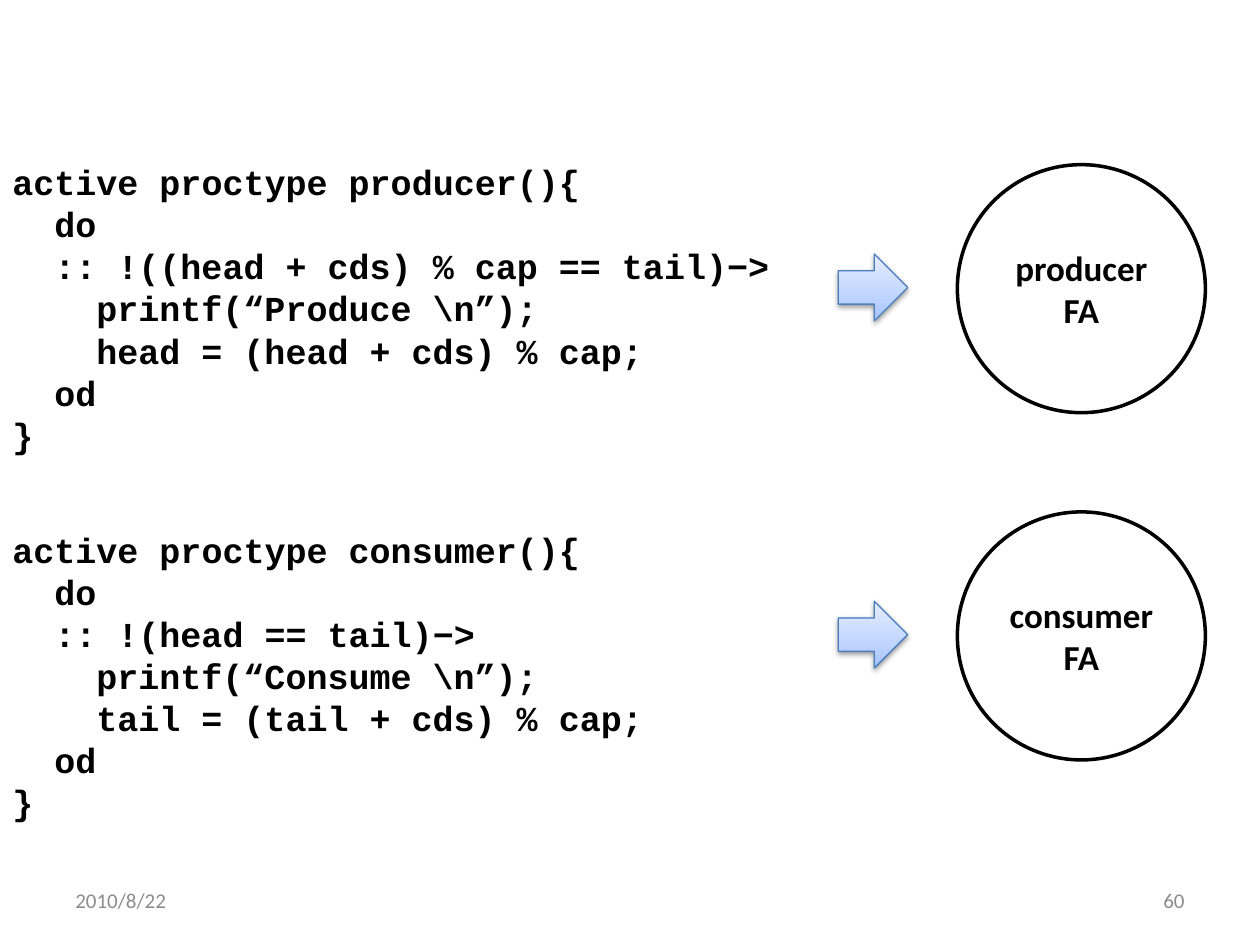
from lxml.etree import SubElement
from pptx import Presentation
from pptx.dml.color import RGBColor
from pptx.enum.shapes import MSO_SHAPE
from pptx.enum.text import MSO_ANCHOR, MSO_AUTO_SIZE, PP_ALIGN
from pptx.oxml.ns import qn
from pptx.util import Cm, Pt

BLACK = RGBColor(0x00, 0x00, 0x00)
GREY = RGBColor(0x8C, 0x8C, 0x8C)
ARROW_LINE = RGBColor(0x4B, 0x7E, 0xBC)
ARROW_STOPS = (
    (0, RGBColor(0xA4, 0xC4, 0xFF)),
    (35, RGBColor(0xBF, 0xD4, 0xFF)),
    (100, RGBColor(0xE6, 0xEE, 0xFF)),
)

PRODUCER = (
    (0, "active proctype producer(){"),
    (1, "do"),
    (1, ":: !((head + cds) % cap == tail)\u2212>"),
    (2, "printf(\u201cProduce \\n\u201d);"),
    (2, "head = (head + cds) % cap;"),
    (1, "od"),
    (0, "}"),
)
CONSUMER = (
    (0, "active proctype consumer(){"),
    (1, "do"),
    (1, ":: !(head == tail)\u2212>"),
    (2, "printf(\u201cConsume \\n\u201d);"),
    (2, "tail = (tail + cds) % cap;"),
    (1, "od"),
    (0, "}"),
)


def format_text(tf, font, size, color, bold=False, align=PP_ALIGN.LEFT):
    """Give all text in a frame one look."""
    for p in tf.paragraphs:
        p.alignment = align
        for r in p.runs:
            r.font.name = font
            r.font.size = Pt(size)
            r.font.bold = bold
            r.font.color.rgb = color


def add_code(s, left, top, width, lines):
    """Add a code listing indented by two characters per level."""
    sp = s.shapes.add_textbox(left, top, width, Cm(6.25))
    tf = sp.text_frame
    tf.text = "\n".join(text for level, text in lines)
    tf.word_wrap = False
    tf.auto_size = MSO_AUTO_SIZE.SHAPE_TO_FIT_TEXT
    format_text(tf, "Courier New", 20, BLACK, bold=True)
    for p, (level, text) in zip(tf.paragraphs, lines):
        pPr = p._p.get_or_add_pPr()
        pPr.set("marL", str(Pt(24 * level)))
        pPr.set("indent", "0")


def add_arrow(s, left, top):
    """Add a block arrow with a gradient and a soft shadow."""
    sp = s.shapes.add_shape(MSO_SHAPE.RIGHT_ARROW, left, top, Cm(1.4), Cm(1.35))
    sp.line.color.rgb = ARROW_LINE
    sp.line.width = Pt(0.75)
    sp.fill.gradient()
    grad = sp._element.spPr.find(qn("a:gradFill"))
    stops = grad.find(qn("a:gsLst"))
    for gs in list(stops):
        stops.remove(gs)
    for pos, color in ARROW_STOPS:
        gs = SubElement(stops, qn("a:gs"), pos=str(pos * 1000))
        SubElement(gs, qn("a:srgbClr"), val=str(color))
    grad.find(qn("a:lin")).set("ang", "16200000")
    sp.shadow.inherit = False
    effects = sp._element.spPr.find(qn("a:effectLst"))
    shadow = SubElement(effects, qn("a:outerShdw"), blurRad=str(Pt(3.1)),
                        dist=str(Pt(1.6)), dir="5400000", rotWithShape="0")
    clr = SubElement(shadow, qn("a:srgbClr"), val=str(BLACK))
    SubElement(clr, qn("a:alpha"), val="38000")


def add_automaton(s, left, top, name):
    """Add the circle that stands for a finite automaton."""
    sp = s.shapes.add_shape(MSO_SHAPE.OVAL, left, top, Cm(5), Cm(5))
    sp.shadow.inherit = False
    sp.fill.background()
    sp.line.color.rgb = BLACK
    sp.line.width = Pt(2)
    tf = sp.text_frame
    tf.text = f"{name}\nFA"
    tf.vertical_anchor = MSO_ANCHOR.MIDDLE
    format_text(tf, "Calibri", 20, BLACK, bold=True, align=PP_ALIGN.CENTER)


def add_process(s, top, name, lines, code_shift, code_width):
    """Add one row: code, arrow and automaton."""
    add_code(s, Cm(0), top + code_shift, code_width, lines)
    add_arrow(s, Cm(16.9), top + Cm(1.8))
    add_automaton(s, Cm(19.3), top, name)


def add_footer(s, left, text, align):
    """Add one footer field."""
    sp = s.shapes.add_textbox(left, Cm(17.65), Cm(5.93), Cm(1.01))
    tf = sp.text_frame
    tf.text = text
    tf.word_wrap = True
    tf.vertical_anchor = MSO_ANCHOR.MIDDLE
    format_text(tf, "Calibri", 12, GREY, align=align)


def main():
    """Build the slide and save it."""
    prs = Presentation()
    prs.slide_width, prs.slide_height = Cm(25.4), Cm(19.05)
    s = prs.slides.add_slide(prs.slide_layouts[6])
    add_footer(s, Cm(1.27), "2010/8/22", PP_ALIGN.LEFT)
    add_footer(s, Cm(18.2), "60", PP_ALIGN.RIGHT)
    add_process(s, Cm(3.32), "producer", PRODUCER, Cm(-0.2), Cm(16.33))
    add_process(s, Cm(10.32), "consumer", CONSUMER, Cm(0.2), Cm(13.33))
    prs.save("out.pptx")


main()
